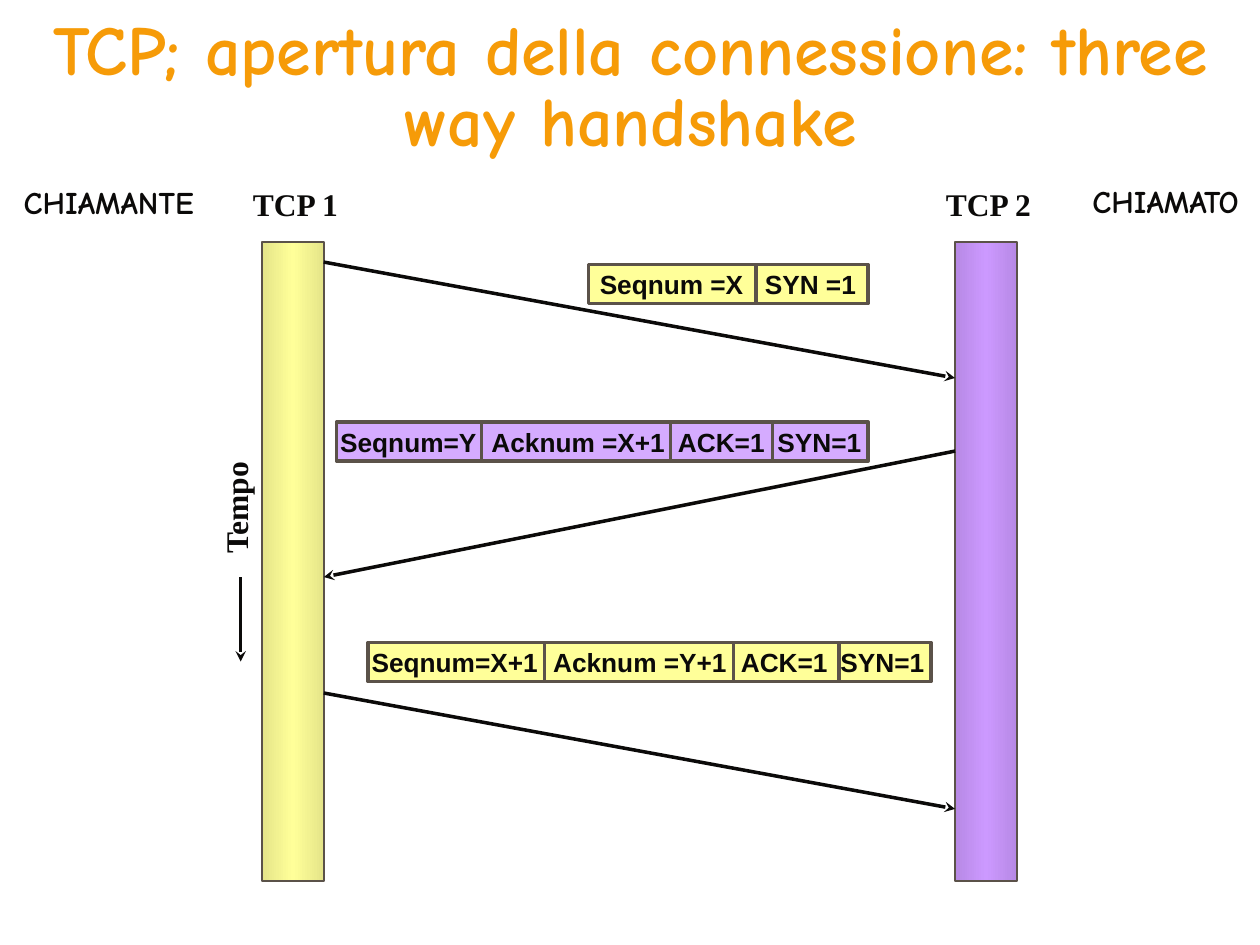
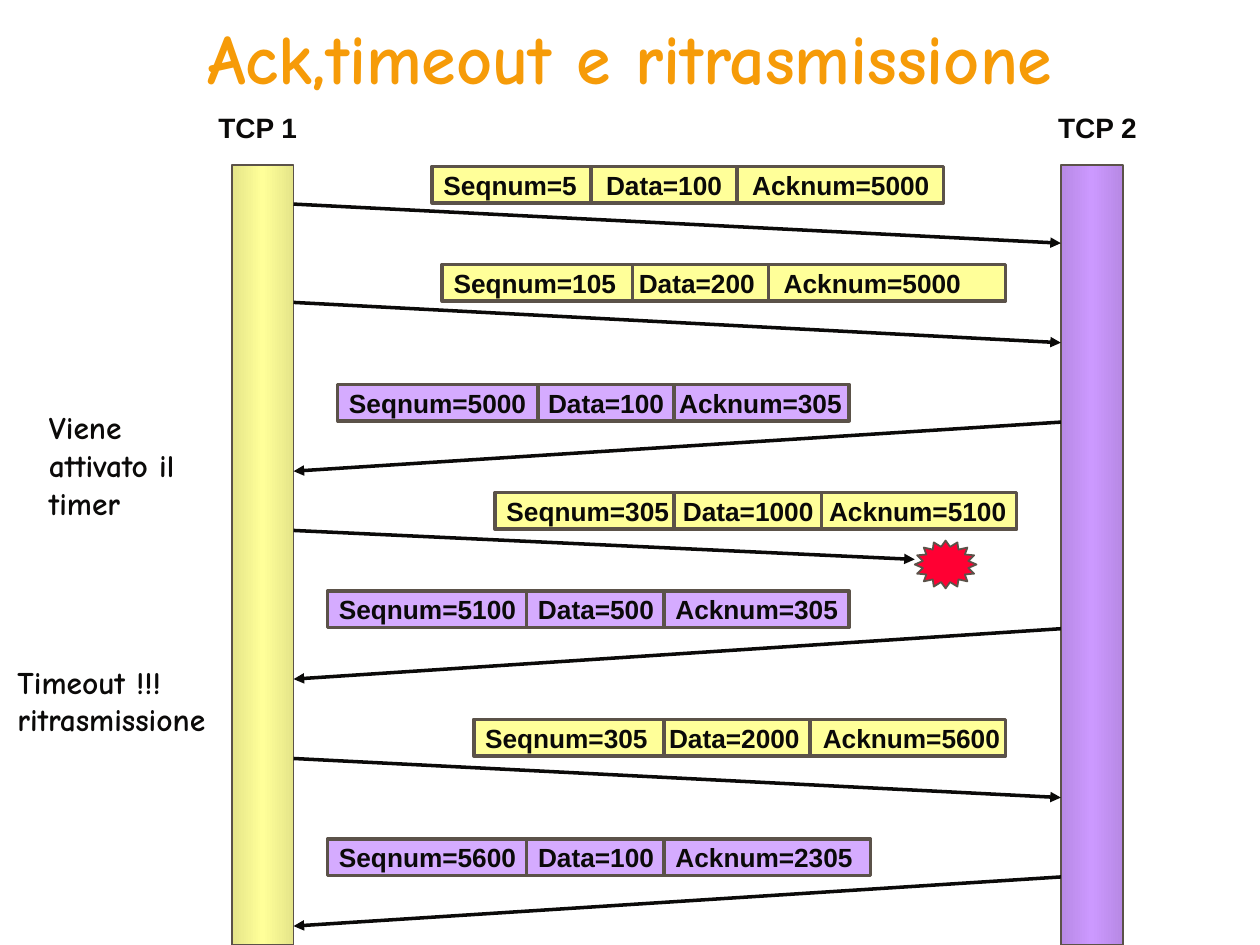
from copy import deepcopy

from lxml import etree
from pptx import Presentation
from pptx.dml.color import RGBColor
from pptx.enum.shapes import MSO_CONNECTOR, MSO_SHAPE
from pptx.enum.text import MSO_ANCHOR, PP_ALIGN
from pptx.oxml.ns import qn
from pptx.util import Inches, Pt

LEFT, CENTER, RIGHT = PP_ALIGN.LEFT, PP_ALIGN.CENTER, PP_ALIGN.RIGHT
TOP, MIDDLE = MSO_ANCHOR.TOP, MSO_ANCHOR.MIDDLE
RECTANGLE, STAR = MSO_SHAPE.RECTANGLE, MSO_SHAPE.STAR_16_POINT
STRAIGHT = MSO_CONNECTOR.STRAIGHT

HAND, SERIF, SANS = "Comic Neue", "Times New Roman", "Arial"
ORANGE, INK, BORDER, RED = "F69B08", "0B0A09", "5B5249", "FF0033"
PACKET_FILLS = ["FFFF99", "D5ABFF"]
BAND_FILLS = [("E5E589", "FFFF99"), ("B789E5", "CC99FF")]
BAND_WIDTH = 0.49
TEXT_INSET = 0.03

prs = Presentation()
prs.slide_width, prs.slide_height = Inches(10), Inches(7.5)
COL, ROW = prs.slide_width / 10, prs.slide_height / 7.5
color = RGBColor.from_string


def write(shape, text, font=SANS, size=15, ink=INK, align=LEFT, anchor=TOP,
          spacing=None, tabs=(), inset=0.1, right_inset=0.1):
    frame = shape.text_frame
    frame.word_wrap = True
    frame.vertical_anchor = anchor
    frame.margin_left, frame.margin_right = int(inset * COL), int(right_inset * COL)
    for number, line in enumerate(text.split("\n")):
        paragraph = frame.add_paragraph() if number else frame.paragraphs[0]
        if tabs:
            stops = etree.SubElement(paragraph._p.get_or_add_pPr(), qn("a:tabLst"))
            for tab in tabs:
                etree.SubElement(stops, qn("a:tab"), pos=str(round(tab * COL)), algn="l")
        paragraph.alignment = align
        if spacing:
            paragraph.line_spacing = spacing
        run = paragraph.add_run()
        run.text = line
        run.font.name, run.font.size, run.font.bold = font, Pt(size), True
        run.font.color.rgb = color(ink)


def draw_line(slide, x1, y1, x2, y2, ink=INK, head=None):
    line = slide.shapes.add_connector(
        STRAIGHT, int(x1 * COL), int(y1 * ROW), int(x2 * COL), int(y2 * ROW))
    line.line.color.rgb = color(ink)
    line.line.width = Pt(2)
    if head:
        etree.SubElement(line.line._get_or_add_ln(), qn("a:tailEnd"), type=head)
    etree.SubElement(line._element.spPr, qn("a:effectLst"))


title_style = dict(font=HAND, size=40, ink=ORANGE, align=CENTER, anchor=MIDDLE)
role_style = dict(font=HAND, size=18, anchor=MIDDLE, spacing=0.85)
serif_style = dict(font=SERIF, size=18)
host_style = dict(size=16, align=CENTER)
note_style = dict(font=HAND, size=18)

# text: (left, top, width, height, rotation, wording, style)
# packet: (sender, arrow start, arrow end, left, top, width, dividers, fields with their left)
diagrams = [
    dict(
        texts=[
            (0.24, 0.21, 9.53, 1, 0, "TCP; apertura della connessione: three way handshake",
             dict(title_style, spacing=0.85)),
            (1.91, 1.42, 1.17, 0.4, 0, "TCP 1", serif_style),
            (7.41, 1.42, 1.17, 0.4, 0, "TCP 2", serif_style),
            (1.33, 3.75, 1.08, 0.4, 270, "Tempo", serif_style),
            (0.09, 1.35, 2.43, 0.55, 0, "CHIAMANTE", role_style),
            (6.77, 1.35, 3.16, 0.54, 0, "CHIAMATO", dict(role_style, align=RIGHT)),
        ],
        bands=(2.08, 7.58), band_top=1.92, band_height=5.07,
        head="stealth", packet_height=0.31,
        packets=[
            (0, 2.08, 3, 4.67, 2.1, 2.22, [6],
             [("Seqnum =X", 4.76), ("SYN =1", 6.07)]),
            (1, 3.58, 4.58, 2.67, 3.35, 4.22, [3.82, 5.32, 6.13],
             [("Seqnum=Y", 2.7), ("Acknum =X+1", 3.9), ("ACK=1", 5.38), ("SYN=1", 6.17)]),
            (0, 5.5, 6.42, 2.92, 5.1, 4.47, [4.32, 5.82, 6.66],
             [("Seqnum=X+1", 2.95), ("Acknum =Y+1", 4.39), ("ACK=1", 5.88), ("SYN=1", 6.67)]),
        ],
    ),
    dict(
        texts=[
            (0.75, -0.18, 8.5, 1.25, 0, "Ack,timeout e ritrasmissione", title_style),
            (0.92, 0.83, 2.25, 0.37, 0, "TCP 1", host_style),
            (7.67, 0.83, 2.08, 0.37, 0, "TCP 2", host_style),
            (0.29, 3.19, 1.89, 1, 0, "Viene\nattivato il\ntimer", note_style),
            (0.04, 5.21, 1.89, 0.7, 0, "Timeout !!!\nritrasmissione", note_style),
        ],
        bands=(1.84, 8.42), band_top=1.31, band_height=6.19,
        head="triangle", packet_height=0.29,
        packets=[
            (0, 1.62, 1.93, 3.43, 1.32, 4.06, [4.69, 5.85],
             [("Seqnum=5", 3.52), ("Data=100", 4.81), ("Acknum=5000", 5.97)]),
            (0, 2.4, 2.72, 3.51, 2.1, 4.47, [5.02, 6.1],
             [("Seqnum=105", 3.6), ("Data=200", 5.07), ("Acknum=5000", 6.22)]),
            (1, 3.35, 3.74, 2.68, 3.05, 4.06, [4.27, 5.35],
             [("Seqnum=5000", 2.77), ("Data=100", 4.35), ("Acknum=305", 5.39)]),
            (0, 4.21, 4.44, 3.93, 3.91, 4.14, [5.35, 6.52],
             [("Seqnum=305", 4.02), ("Data=1000", 5.42), ("Acknum=5100", 6.58)]),
            (1, 4.99, 5.39, 2.6, 4.69, 4.14, [4.18, 5.27],
             [("Seqnum=5100", 2.69), ("Data=500", 4.27), ("Acknum=305", 5.36)]),
            (0, 6.02, 6.33, 3.76, 5.71, 4.22, [5.27, 6.43],
             [("Seqnum=305", 3.85), ("Data=2000", 5.31), ("Acknum=5600", 6.53)]),
            (1, 6.96, 7.35, 2.6, 6.66, 4.31, [4.18, 5.27],
             [("Seqnum=5600", 2.69), ("Data=100", 4.27), ("Acknum=2305", 5.36)]),
        ],
        lost_packet=3, loss=(7.26, 4.29, 0.49, 0.38),
    ),
]

for diagram in diagrams:
    slide = prs.slides.add_slide(prs.slide_layouts[6])
    caller, called = diagram["bands"]
    ends = (caller + BAND_WIDTH, called)

    for left, (edge, middle) in zip(diagram["bands"], BAND_FILLS):
        band = slide.shapes.add_shape(
            RECTANGLE, int(left * COL), int(diagram["band_top"] * ROW),
            int(BAND_WIDTH * COL), int(diagram["band_height"] * ROW))
        band.shadow.inherit = False
        band.fill.gradient()
        band.fill.gradient_angle = 0
        stop_list = band._element.spPr.find(".//" + qn("a:gsLst"))
        stop_list.insert(0, deepcopy(stop_list[0]))
        for stop, position, shade in zip(
                band.fill.gradient_stops, (0, 0.5, 1), (edge, middle, edge)):
            stop.position = position
            stop.color.rgb = color(shade)
        band.line.color.rgb = color(BORDER)
        band.line.width = Pt(1)

    for number, (sender, start, end, left, top, width, dividers, fields) in enumerate(
            diagram["packets"]):
        lost = number == diagram.get("lost_packet")
        target = diagram["loss"][0] if lost else ends[1 - sender]
        draw_line(slide, ends[sender], start, target, end, head=diagram["head"])

        height = diagram["packet_height"]
        packet = slide.shapes.add_shape(
            RECTANGLE, int(left * COL), int(top * ROW), int(width * COL), int(height * ROW))
        packet.shadow.inherit = False
        packet.fill.solid()
        packet.fill.fore_color.rgb = color(PACKET_FILLS[sender])
        packet.line.color.rgb = color(BORDER)
        packet.line.width = Pt(2)
        inset = fields[0][1] - left
        write(packet, "\t".join(wording for wording, x in fields), anchor=MIDDLE,
              inset=inset, right_inset=0,
              tabs=[x - left - inset for wording, x in fields[1:]])
        for x in dividers:
            draw_line(slide, x, top, x, top + height, ink=BORDER)

    for left, top, width, height, rotation, wording, style in diagram["texts"]:
        box = slide.shapes.add_textbox(
            int(left * COL), int(top * ROW), int(width * COL), int(height * ROW))
        box.rotation = rotation
        write(box, wording, **style)

    if "loss" in diagram:
        left, top, width, height = diagram["loss"]
        burst = slide.shapes.add_shape(
            STAR, int(left * COL), int(top * ROW), int(width * COL), int(height * ROW))
        burst.shadow.inherit = False
        burst.fill.solid()
        burst.fill.fore_color.rgb = color(RED)
        burst.line.color.rgb = color(BORDER)
        burst.line.width = Pt(1)
    else:
        draw_line(slide, 1.91, 4.58, 1.91, 5.25, head=diagram["head"])

prs.save("out.pptx")
